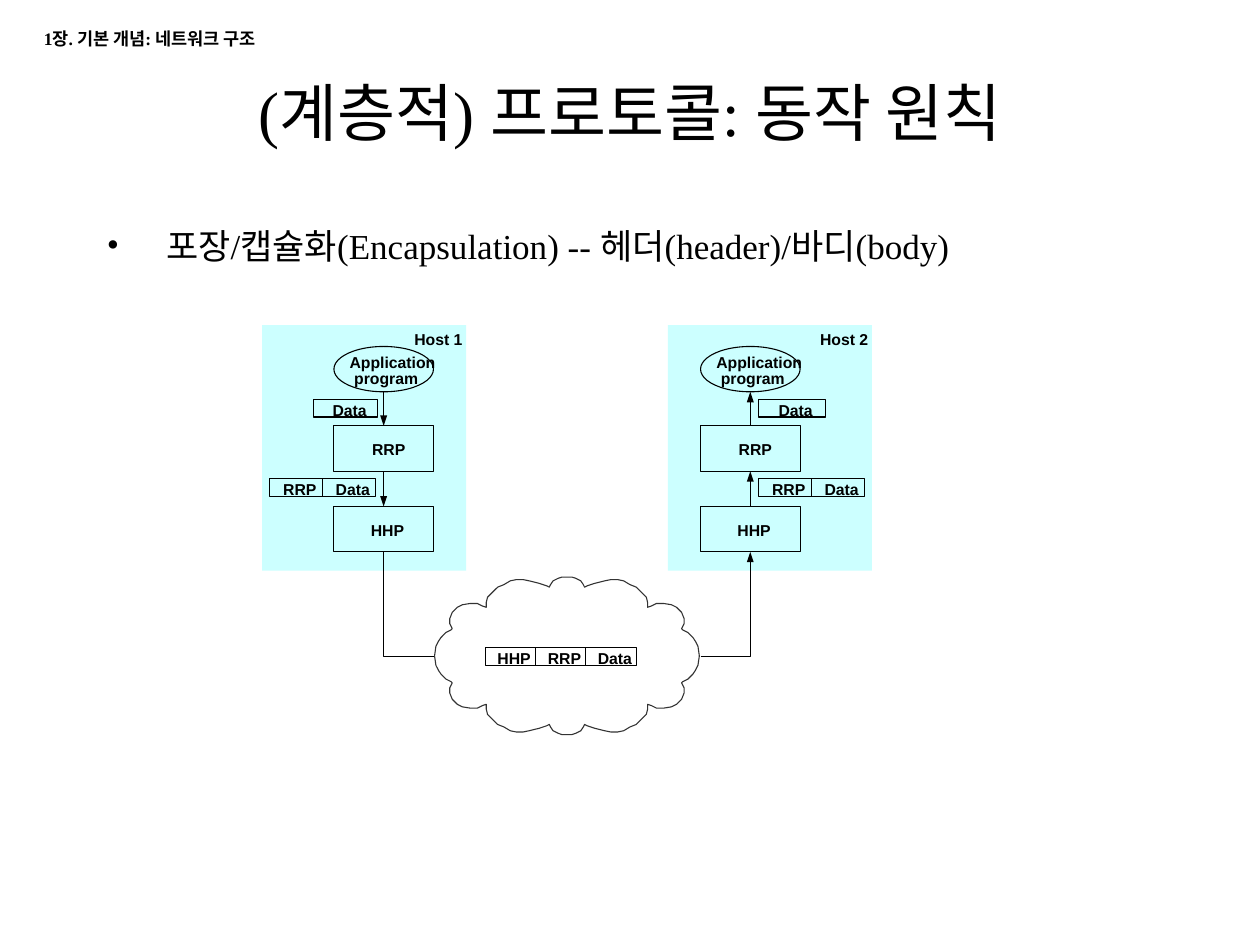
"""Build a slide on protocol encapsulation between two hosts."""
from lxml.etree import SubElement
from pptx import Presentation
from pptx.dml.color import RGBColor
from pptx.enum.shapes import MSO_CONNECTOR as Connector, MSO_SHAPE as Shape
from pptx.enum.text import MSO_ANCHOR as Anchor, PP_ALIGN as Align
from pptx.oxml.ns import qn
from pptx.util import Inches, Pt

BLACK = RGBColor(0, 0, 0)
GREY = RGBColor(0x33, 0x33, 0x33)
CYAN = RGBColor(0xCC, 0xFF, 0xFF)

deck = Presentation()
deck.slide_width, deck.slide_height = Inches(10), Inches(7.5)
page = deck.slides.add_slide(deck.slide_layouts[6])
shapes = page.shapes


def outline(item, color=BLACK, arrow=False):
    item.line.color.rgb = color
    item.line.width = Pt(0.63)
    if arrow:
        SubElement(item.line._get_or_add_ln(), qn("a:tailEnd"), type="triangle", w="sm", len="med")
    SubElement(item._element.spPr, qn("a:effectLst"))


def write(text, left, top, width, height, size, font="Times New Roman", bold=False):
    box = shapes.add_textbox(Inches(left), Inches(top), Inches(width), Inches(height))
    frame = box.text_frame
    frame.word_wrap = True
    para = frame.paragraphs[0]
    para.text = text
    para.font.size, para.font.name, para.font.bold = Pt(size), font, bold
    para.font.color.rgb = BLACK
    return frame


write("1장. 기본 개념: 네트워크 구조", 0.25, 0.17, 2.83, 0.27, 10, bold=True)
title = write("(계층적) 프로토콜: 동작 원칙", 0.75, 0.42, 8.5, 0.92, 36)
title.vertical_anchor = Anchor.MIDDLE
title.paragraphs[0].alignment = Align.CENTER
point = write("포장/캡슐화(Encapsulation) -- 헤더(header)/바디(body)", 0.75, 1.73, 8.42, 0.43, 20)
bullet = point.paragraphs[0]._p.get_or_add_pPr()
bullet.set("marL", str(Inches(0.47)))
bullet.set("indent", str(-Inches(0.47)))
bullet_font = bullet.makeelement(qn("a:buFont"), {"typeface": "Times New Roman"})
bullet.insert(0, bullet_font)
bullet_font.addnext(bullet.makeelement(qn("a:buChar"), {"char": "•"}))

labels = []
LAYER_WIDTH, LAYER_HEIGHT = 0.79, 0.36
LAYER_TOPS = [2.75, 3.38, 4.02]
for name, host_left, layer_left, sends in [("Host 1", 2.08, 2.65, True), ("Host 2", 5.3, 5.56, False)]:
    host = shapes.add_shape(Shape.RECTANGLE, Inches(host_left), Inches(2.58), Inches(1.62), Inches(1.95))
    host.fill.solid()
    host.fill.fore_color.rgb = CYAN
    host.line.fill.background()
    host.shadow.inherit = False

    for top, kind in zip(LAYER_TOPS, [Shape.OVAL, Shape.RECTANGLE, Shape.RECTANGLE]):
        layer = shapes.add_shape(kind, Inches(layer_left), Inches(top), Inches(LAYER_WIDTH), Inches(LAYER_HEIGHT))
        layer.fill.background()
        outline(layer)

    middle = layer_left + LAYER_WIDTH / 2
    for upper, lower in zip(LAYER_TOPS, LAYER_TOPS[1:]):
        start, end = (upper + LAYER_HEIGHT, lower) if sends else (lower, upper + LAYER_HEIGHT)
        arrow = shapes.add_connector(
            Connector.STRAIGHT, Inches(middle), Inches(start), Inches(middle), Inches(end))
        outline(arrow, arrow=True)

    route = [(middle, 4.38), (middle, 5.21), (3.45 if sends else 5.56, 5.21)]
    if not sends:
        route.reverse()
    corners = [(Inches(x), Inches(y)) for x, y in route]
    builder = shapes.build_freeform(*corners[0])
    builder.add_line_segments(corners[1:], close=False)
    link = builder.convert_to_shape()
    link.fill.background()
    outline(link, arrow=not sends)

    labels += [
        (name, host_left + 1.4, 2.62),
        ("Application", middle + 0.07, 2.8),
        ("program", middle + 0.02, 2.93),
        ("RRP", middle + 0.04, 3.49),
        ("HHP", middle + 0.03, 4.13),
    ]

CLOUD_LEFT_RIGHT, CLOUD_TOP_BOTTOM = 9, 10.41
quarter = [
    (3.45, 5.2), (3.46, 5.13), (3.48, 5.09), (3.5, 5.06), (3.54, 5.02), (3.58, 5), (3.59, 4.99),
    (3.57, 4.95), (3.57, 4.91), (3.59, 4.86), (3.63, 4.82), (3.67, 4.8), (3.73, 4.79), (3.79, 4.79),
    (3.83, 4.81), (3.86, 4.82), (3.86, 4.78), (3.87, 4.74), (3.89, 4.72), (3.92, 4.69), (3.95, 4.66),
    (4, 4.64), (4.05, 4.61), (4.1, 4.6), (4.15, 4.6), (4.2, 4.61), (4.24, 4.62), (4.28, 4.63),
    (4.34, 4.65), (4.36, 4.66), (4.37, 4.64), (4.39, 4.61), (4.43, 4.59), (4.46, 4.58), (4.5, 4.58),
]
top_half = quarter + [(CLOUD_LEFT_RIGHT - x, y) for x, y in reversed(quarter)]
rim = top_half + [(x, CLOUD_TOP_BOTTOM - y) for x, y in reversed(top_half)]
points = [(Inches(x), Inches(y)) for x, y in rim]
builder = shapes.build_freeform(*points[0])
builder.add_line_segments(points[1:], close=True)
cloud = builder.convert_to_shape()
cloud.fill.background()
outline(cloud, GREY)

packets = [
    (2.49, 3.17, 0.51, ["Data"]),
    (6.02, 3.17, 0.53, ["Data"]),
    (2.14, 3.8, 0.42, ["RRP", "Data"]),
    (6.02, 3.8, 0.42, ["RRP", "Data"]),
    (3.85, 5.14, 0.4, ["HHP", "RRP", "Data"]),
]
for left, top, width, fields in packets:
    for column, field in enumerate(fields):
        field_left = left + column * width
        cell = shapes.add_shape(Shape.RECTANGLE, Inches(field_left), Inches(top), Inches(width), Inches(0.14))
        cell.fill.background()
        outline(cell)
        labels.append((field, field_left + width / 2 + 0.03, top + 0.01))

LABEL_WIDTHS = {"Application": 0.7, "program": 0.54, "Host 1": 0.4, "Host 2": 0.4}
for text, center, top in labels:
    width = LABEL_WIDTHS.get(text, 0.3)
    frame = write(text, center - width / 2, top, width, 0.15, 9, "Arial", True)
    frame.word_wrap = False
    frame.margin_left = frame.margin_right = frame.margin_top = frame.margin_bottom = 0
    frame.paragraphs[0].alignment = Align.CENTER

deck.save("out.pptx")
